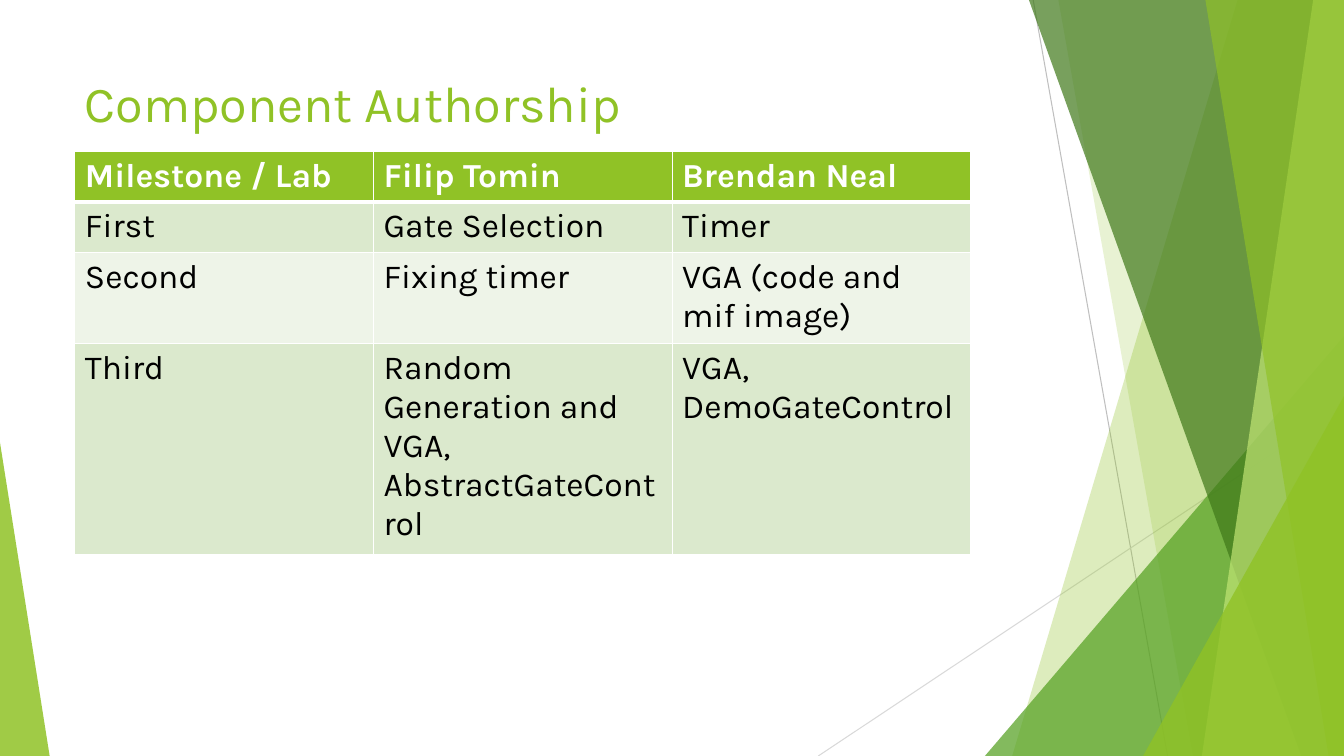
from lxml.etree import SubElement
from pptx import Presentation
from pptx.dml.color import RGBColor
from pptx.enum.shapes import MSO_CONNECTOR, MSO_SHAPE
from pptx.oxml.ns import qn
from pptx.util import Pt

WIDE, HIGH = 960, 540
HUES = {
    "lime": "90C226", "leaf": "54A021", "moss": "3F7819", "pale": "C0E474",
    "gray": "BFBFBF", "mist": "D9D9D9", "white": "FFFFFF", "black": "000000",
    "band": "DBE9CD", "light": "EEF4E8",
}


class Page:
    face = "Karla"

    def __init__(self, slide):
        self.shapes = slide.shapes

    def hue(self, name):
        return RGBColor.from_string(HUES[name])

    def font(self, para, size, color, bold=False):
        font = para.font
        font.name, font.size, font.bold = self.face, Pt(size), bold
        font.color.rgb = self.hue(color)

    def line(self, start, end, color):
        line = self.shapes.add_connector(
            MSO_CONNECTOR.STRAIGHT, *map(Pt, start + end))
        line.line.color.rgb = self.hue(color)
        line.line.width = Pt(0.75)
        SubElement(line._element.spPr, qn("a:effectLst"))

    def paint(self, shape, color, alpha):
        shape.shadow.inherit = False
        shape.line.fill.background()
        shape.fill.solid()
        shape.fill.fore_color.rgb = self.hue(color)
        tint = shape._element.spPr.find(".//" + qn("a:srgbClr"))
        SubElement(tint, qn("a:alpha"), val=str(alpha * 1000))

    def shard(self, top, base, color, alpha):
        form = self.shapes.build_freeform(Pt(top), 0)
        edge = [(WIDE, 0), (WIDE, HIGH), (base, HIGH)]
        form.add_line_segments([(Pt(x), Pt(y)) for x, y in edge])
        self.paint(form.convert_to_shape(), color, alpha)

    def wedge(self, left, top, width, tip, color, alpha):
        shape = self.shapes.add_shape(
            MSO_SHAPE.ISOSCELES_TRIANGLE,
            Pt(left), Pt(top), Pt(width), Pt(HIGH - top))
        shape.adjustments[0] = tip
        self.paint(shape, color, alpha)

    def title(self, text, left, top, width, height):
        box = self.shapes.add_textbox(*map(Pt, (left, top, width, height)))
        box.text_frame.word_wrap = True
        para = box.text_frame.paragraphs[0]
        para.text = text
        self.font(para, 36, "lime")

    def border(self, cell, head):
        props = cell._tc.get_or_add_tcPr()
        for spot, side in enumerate("LRTB"):
            width = 3 if head and side == "B" else 1
            edge = props.makeelement(qn("a:ln" + side), {"w": str(Pt(width))})
            fill = SubElement(edge, qn("a:solidFill"))
            SubElement(fill, qn("a:srgbClr"), val=HUES["white"])
            props.insert(spot, edge)

    def table(self, rows, lines, left, top, width):
        highs = [28 * count + 7.3 for count in lines]
        table = self.shapes.add_table(
            len(rows), len(rows[0]),
            Pt(left), Pt(top), Pt(width), Pt(sum(highs))).table
        for y, row in enumerate(rows):
            table.rows[y].height = Pt(highs[y])
            head = y == 0
            back = "lime" if head else ("light", "band")[y % 2]
            for x, text in enumerate(row):
                cell = table.cell(y, x)
                cell.text = text
                cell.fill.solid()
                cell.fill.fore_color.rgb = self.hue(back)
                self.font(cell.text_frame.paragraphs[0], 24,
                          "white" if head else "black", head)
                self.border(cell, head)


deck = Presentation()
deck.slide_width, deck.slide_height = Pt(WIDE), Pt(HIGH)
page = Page(deck.slides.add_slide(deck.slide_layouts[6]))

page.line((738, 0), (834, HIGH), "gray")
page.line((WIDE, 290), (584.5, HIGH), "mist")
page.shard(884, 723, "lime", 30)
page.shard(756, 852, "lime", 20)
page.wedge(703.5, 240, 256.5, 1, "leaf", 72)
page.shard(735, 929.5, "moss", 70)
page.shard(938, 858.5, "pale", 70)
page.shard(861, 949, "lime", 65)
page.wedge(816.5, 283, 143.5, 1, "lime", 80)
page.wedge(0, 316, 35.5, 0, "lime", 85)

page.title("Component Authorship", 53.5, 48, 677, 104)
page.table([
    ("Milestone / Lab", "Filip Tomin", "Brendan Neal"),
    ("First", "Gate Selection", "Timer"),
    ("Second", "Fixing timer", "VGA (code and mif image)"),
    ("Third", "Random Generation and VGA, AbstractGateControl",
     "VGA, DemoGateControl"),
], (1, 1, 2, 5), 53.5, 108.3, 640)

deck.save("out.pptx")
